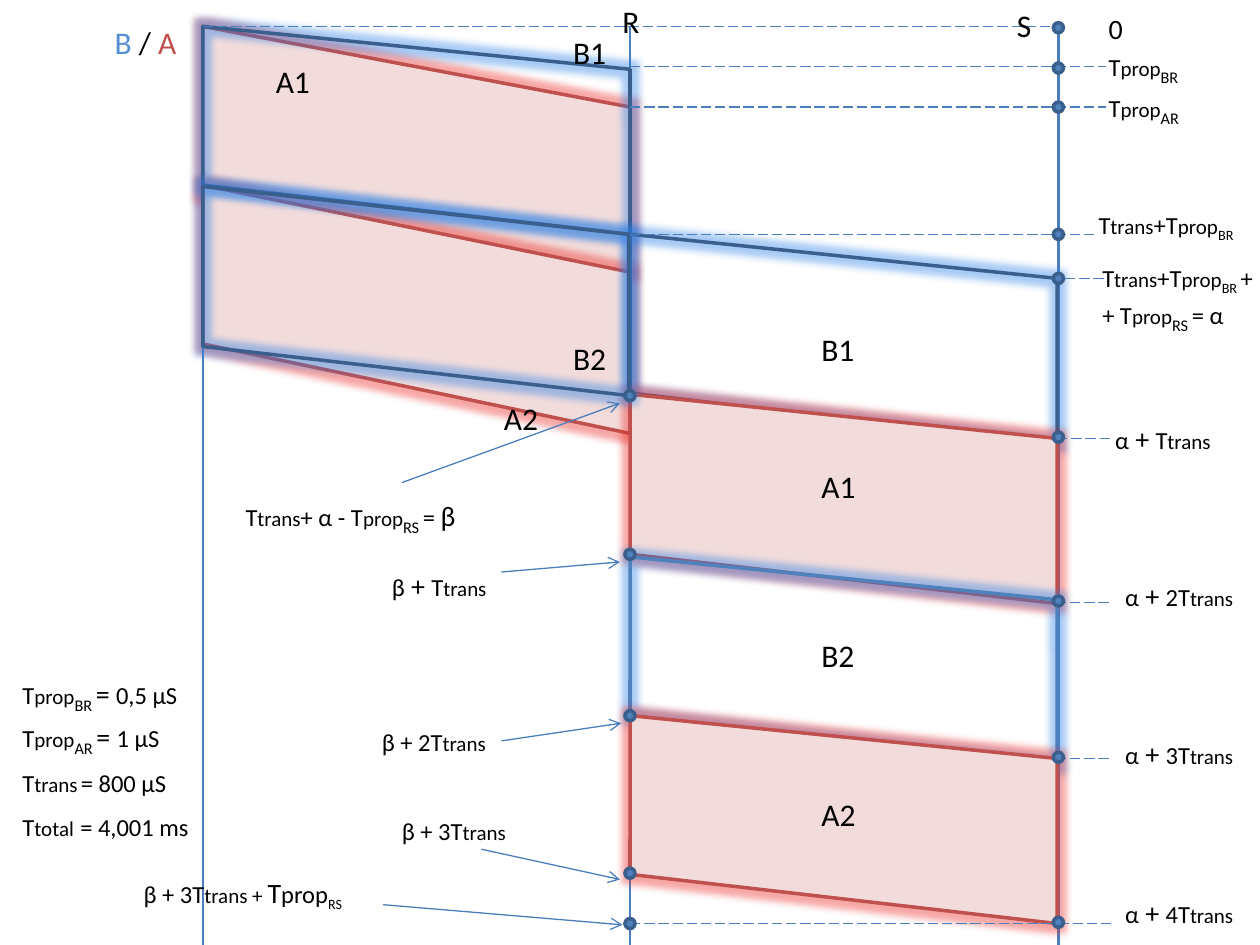
from math import cos, radians, sin

from lxml.etree import SubElement
from pptx import Presentation
from pptx.dml.color import RGBColor
from pptx.enum.dml import MSO_LINE
from pptx.enum.shapes import MSO_CONNECTOR, MSO_SHAPE
from pptx.enum.text import MSO_AUTO_SIZE
from pptx.oxml.ns import qn
from pptx.util import Inches, Pt

BLACK, BLUE, RED = "000000", "4F81BD", "C0504D"
NAVY, PINK, LINE = "3A5F8C", "F2DCDB", "4B7EBC"
TILT = 5.9
HOST, RELAY, SERVER = 1.61, 5, 8.4


def colour(value):
    return RGBColor.from_string(value)


class Diagram:
    font = "Calibri"

    def __init__(self, page):
        self.shapes = page.shapes

    def line(self, start, end, width=0.75, dashed=False, arrow=False):
        link = self.shapes.add_connector(
            MSO_CONNECTOR.STRAIGHT, *[Inches(value) for value in (*start, *end)])
        link.line.color.rgb = colour(LINE)
        link.line.width = Pt(width)
        if dashed:
            link.line.dash_style = MSO_LINE.LONG_DASH
        if arrow:
            SubElement(link.line._get_or_add_ln(), qn("a:tailEnd"), type="arrow")
        SubElement(link._element.spPr, qn("a:effectLst"))

    def frame(self, corners, edge, glow, fill=None):
        """Draw a tilted, glowing quadrilateral through four slide positions."""
        middle_x = sum(x for x, _ in corners) / 4
        middle_y = sum(y for _, y in corners) / 4
        cosine, sine = cos(radians(TILT)), sin(radians(TILT))
        level = []
        for x, y in corners:
            dx, dy = x - middle_x, y - middle_y
            level.append((Inches(middle_x + dx * cosine + dy * sine),
                          Inches(middle_y - dx * sine + dy * cosine)))
        builder = self.shapes.build_freeform(*level[0])
        builder.add_line_segments(level[1:], close=True)
        shape = builder.convert_to_shape()
        shape.rotation = TILT
        self.paint(shape, edge, fill)
        effects = shape._element.spPr.find(qn("a:effectLst"))
        halo = SubElement(effects, qn("a:glow"), rad=str(Pt(8)))
        tint = SubElement(halo, qn("a:srgbClr"), val=glow)
        SubElement(tint, qn("a:satMod"), val="175000")
        SubElement(tint, qn("a:alpha"), val="40000")

    def dot(self, x, y, size=0.08):
        shape = self.shapes.add_shape(
            MSO_SHAPE.OVAL, Inches(x - size / 2), Inches(y - size / 2),
            Inches(size), Inches(size))
        self.paint(shape, NAVY, BLUE)

    def paint(self, shape, edge, fill):
        shape.shadow.inherit = False
        if fill:
            shape.fill.solid()
            shape.fill.fore_color.rgb = colour(fill)
        else:
            shape.fill.background()
        shape.line.color.rgb = colour(edge)
        shape.line.width = Pt(2)

    def text(self, place, runs, wrap=True, inset=0.1):
        box = self.shapes.add_textbox(*[Inches(value) for value in place])
        frame = box.text_frame
        frame.word_wrap = wrap
        frame.auto_size = MSO_AUTO_SIZE.SHAPE_TO_FIT_TEXT
        frame.margin_left = Inches(inset)
        para = frame.paragraphs[0]
        for words, size, *style in runs:
            span = para.add_run()
            span.text = words
            span.font.name = self.font
            span.font.size = Pt(size)
            span.font.color.rgb = colour(style[0] if style and style[0] != "sub" else BLACK)
            if "sub" in style:
                span._r.get_or_add_rPr().set("baseline", "-25000")


def trans(before="T"):
    return [(before, 14), ("trans", 12)]


def prop(index, before="T", size=16):
    return [(before, 14), ("prop", 12), (index, size, "sub")]


def corners(left, right, top_left, top_right, bottom_right, bottom_left):
    return [(left, top_left), (right, top_right), (right, bottom_right), (left, bottom_left)]


def main():
    deck = Presentation()
    deck.slide_width, deck.slide_height = Inches(10), Inches(7.5)
    diagram = Diagram(deck.slides.add_slide(deck.slide_layouts[6]))

    # Packets from A to the relay
    for heights in ((0.21, 0.85, 2.16, 1.55), (1.47, 2.16, 3.44, 2.73)):
        diagram.frame(corners(HOST, RELAY, *heights), RED, RED, PINK)

    # Time axes
    for x in (HOST, RELAY, SERVER):
        diagram.line((x, 0.21), (x, 7.5), width=1.5)

    # Packets from B to the relay, and all packets from the relay onward
    diagram.frame(corners(HOST, RELAY, 0.21, 0.55, 1.86, 1.47), NAVY, BLUE)
    for heights, edge, glow, fill in (
            ((1.86, 2.21, 3.52, 3.12), NAVY, BLUE, None),
            ((3.13, 3.48, 4.79, 4.4), RED, RED, PINK),
            ((4.42, 4.76, 6.07, 5.68), BLUE, BLUE, None),
            ((5.68, 6.02, 7.33, 6.94), RED, RED, PINK)):
        diagram.frame(corners(RELAY, SERVER - 0.01, *heights), edge, glow, fill)
    diagram.frame(corners(HOST, RELAY - 0.01, 1.48, 1.86, 3.14, 2.75), NAVY, BLUE)

    # Dashed time marks
    for left, right, y in (
            (HOST, 8.39, 0.21), (RELAY, 8.78, 0.53), (RELAY, 8.78, 0.85),
            (RELAY, 8.7, 1.86), (RELAY, 8.39, 7.33), (8.34, 8.76, 2.21),
            (8.39, 8.81, 3.48), (8.38, 8.81, 4.78), (8.38, 8.81, 6.02),
            (8.4, 8.82, 7.33)):
        diagram.line((left, y), (right, y), dashed=True)

    # Event dots on the server and relay axes
    for y in (0.22, 0.54, 0.85, 1.86, 2.21, 3.47, 4.77, 6.01, 7.32):
        diagram.dot(SERVER, y)
    for y in (3.14, 4.4, 5.68, 6.93, 7.33):
        diagram.dot(RELAY, y)

    # Arrows to the relay events
    for start, end in (
            ((3.19, 3.83), (4.92, 3.2)), ((3.98, 4.54), (4.92, 4.46)),
            ((3.98, 5.88), (4.93, 5.74)), ((3.82, 6.74), (4.92, 6.98)),
            ((3.04, 7.18), (4.94, 7.34))):
        diagram.line(start, end, arrow=True)

    # Packet names
    for name, left, top in (
            ("B1", 6.42, 2.57), ("A1", 6.42, 3.66), ("B2", 6.42, 5), ("A2", 6.42, 6.26),
            ("B1", 4.45, 0.21), ("A1", 2.09, 0.44), ("B2", 4.45, 2.64), ("A2", 3.9, 3.12)):
        diagram.text((left, top, 0.48, 0.4), [(name, 18)], wrap=False)

    # Axis names
    diagram.text((0.75, 0.13, 0.76, 0.4),
                 [("B", 18, "558ED5"), (" / ", 18), ("A", 18, RED)], wrap=False, inset=0.16)
    diagram.text((4.78, -0.03, 0.4, 0.4), [("R", 18)], wrap=False, inset=0.16)
    diagram.text((7.91, 0, 0.38, 0.4), [("S", 18)], wrap=False, inset=0.16)

    # Server times
    diagram.text((8.7, 0.04, 1.18, 0.37), [("0", 16)])
    diagram.text((8.7, 0.34, 1.18, 0.34), prop("BR"))
    diagram.text((8.7, 0.66, 1.18, 0.34), prop("AR"))
    first_sent = trans() + prop("BR", "+T", 14)
    diagram.text((8.62, 1.62, 1.38, 0.34), first_sent)
    diagram.text((8.65, 2.04, 1.47, 0.61),
                 first_sent + [(" ", 14, "sub")] + prop("RS ", "+ + T") + [("= α", 14)])
    for count, left, top in (("", 8.7, 3.3), ("2", 8.78, 4.54), ("3", 8.78, 5.8), ("4", 8.78, 7.06)):
        diagram.text((left, top, 1.47, 0.37),
                     [("α", 14), (" + ", 16)] + trans(count + "T"), inset=0.15)

    # Relay times
    diagram.text((1.85, 3.91, 2.05, 0.37),
                 trans() + prop("RS ", "+ α - T") + [("= ", 14), ("β", 16)])
    diagram.text((2.95, 4.46, 1.1, 0.37),
                 [("β", 14), (" + ", 16)] + trans(), inset=0.16)
    diagram.text((2.87, 5.72, 1.18, 0.34), trans("β + 2T"), inset=0.16)
    diagram.text((3.03, 6.43, 1.18, 0.34), trans("β + 3T"), inset=0.16)
    diagram.text((0.98, 6.9, 2.13, 0.37),
                 trans("β + 3T") + [(" + ", 12), ("T", 16), ("prop", 14), ("RS", 14, "sub")],
                 inset=0.16)

    # Given values and total
    for top, runs in (
            (5.32, prop("BR ") + [("= ", 16), ("0,5 μS", 14)]),
            (5.66, prop("AR ") + [("= ", 16), ("1 μS", 14)]),
            (6.05, trans() + [(" ", 14, "sub"), ("= 800 μS", 14)]),
            (6.37, [("T", 14), ("total", 12), (" ", 16), ("= 4,001 ms", 14)])):
        diagram.text((0.08, top, 1.89, 0.37), runs)

    deck.save("out.pptx")


if __name__ == "__main__":
    main()
